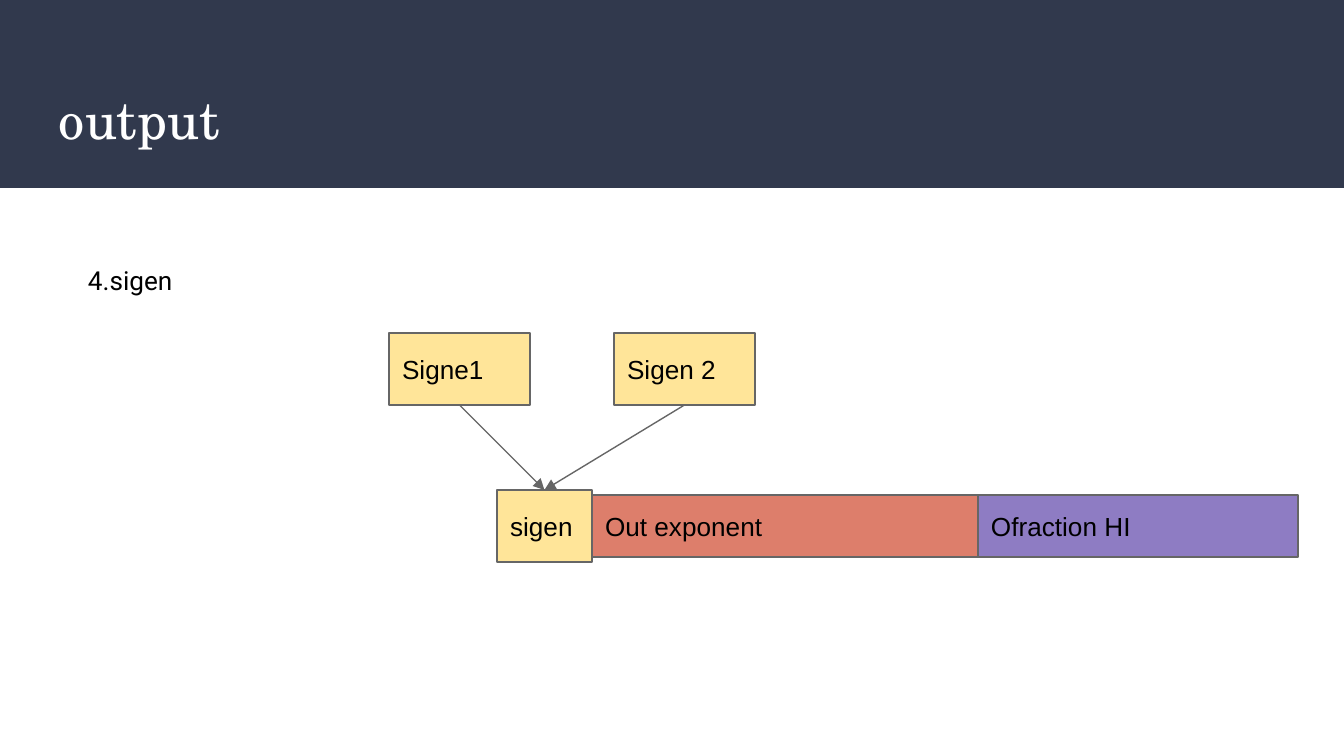
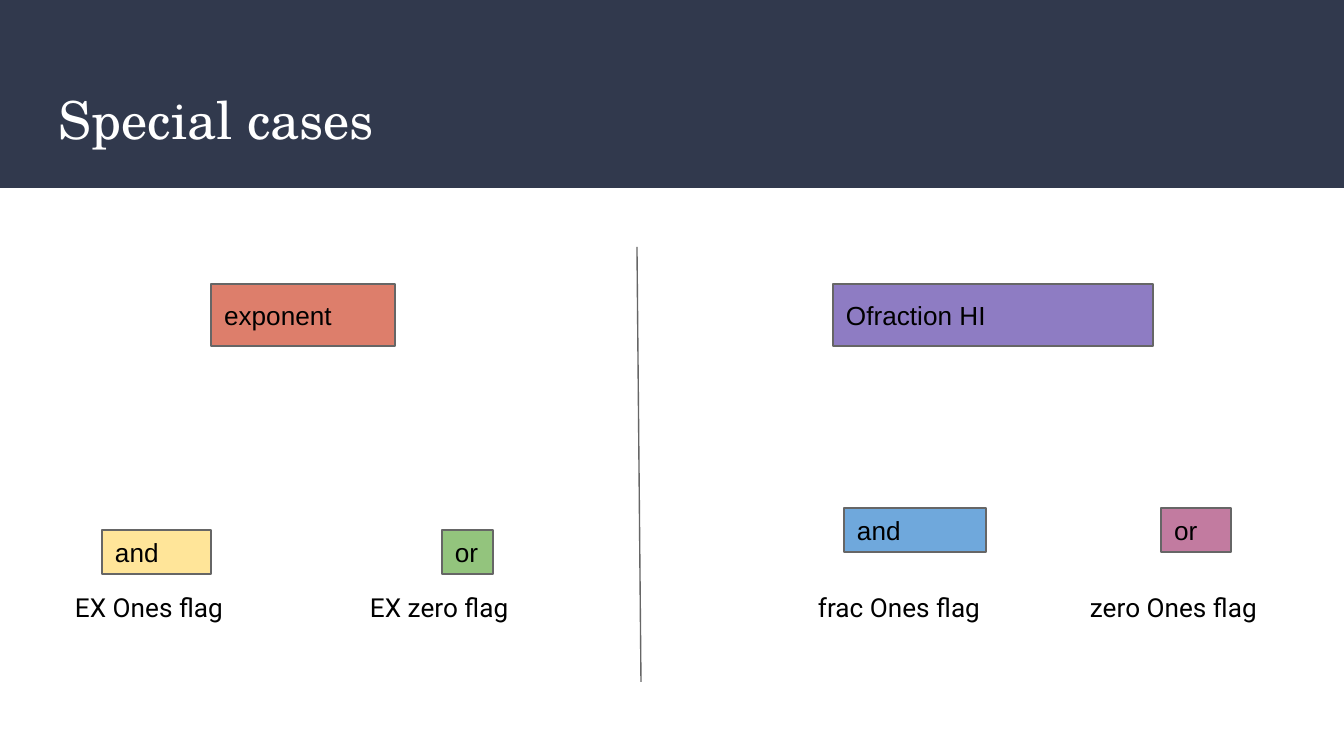
from pptx import Presentation
from pptx.dml.color import RGBColor
from pptx.enum.shapes import MSO_CONNECTOR, MSO_SHAPE
from pptx.enum.text import MSO_ANCHOR, MSO_AUTO_SIZE, PP_ALIGN
from pptx.oxml.ns import qn
from pptx.util import Pt
from lxml import etree

RECTANGLE, STRAIGHT = MSO_SHAPE.RECTANGLE, MSO_CONNECTOR.STRAIGHT
TOP, MIDDLE, LEFT = MSO_ANCHOR.TOP, MSO_ANCHOR.MIDDLE, PP_ALIGN.LEFT
TOP_SITE, BOTTOM_SITE = 0, 2
TITLE_ONLY = 5

# Scale: 134.4 px to the inch
EMU_PER_PX = 914400 / 134.4
SLIDE_WIDTH, SLIDE_HEIGHT, BAND_HEIGHT = 1344, 756, 188
INSET = 13
FIELD_HEIGHT, SIGN_HEIGHT, GATE_HEIGHT = 62, 72, 44
FRACTION_WIDTH, FLAG_WIDTH = 320, 222

# Colours
NAVY = RGBColor(0x31, 0x39, 0x4D)
WHITE = RGBColor(0xFF, 0xFF, 0xFF)
BLACK = RGBColor(0x00, 0x00, 0x00)
GREY = RGBColor(0x66, 0x66, 0x66)
PURPLE = RGBColor(0x8E, 0x7C, 0xC3)
RED = RGBColor(0xDD, 0x7E, 0x6B)
YELLOW = RGBColor(0xFF, 0xE5, 0x99)
GREEN = RGBColor(0x93, 0xC4, 0x7D)
PINK = RGBColor(0xC2, 0x7B, 0xA0)
BLUE = RGBColor(0x6F, 0xA8, 0xDC)

# Text styles
TITLE_FONT = {"name": "TeX Gyre Schola", "size": Pt(28), "color": WHITE}
BOX_FONT = {"name": "Arial", "size": Pt(14), "color": BLACK}
LABEL_FONT = {"name": "Roboto", "size": Pt(14), "color": BLACK}


def px(*lengths):
    return [round(length * EMU_PER_PX) for length in lengths]


def set_all(target, values):
    for name, value in values.items():
        setattr(target, name, value)


def write(shape, text, font, anchor=TOP):
    frame = shape.text_frame
    inset, = px(INSET)
    set_all(frame, {
        "margin_left": inset, "margin_right": inset,
        "margin_top": inset, "margin_bottom": inset,
        "word_wrap": True, "auto_size": MSO_AUTO_SIZE.NONE,
        "vertical_anchor": anchor,
    })
    paragraph = frame.paragraphs[0]
    paragraph.alignment = LEFT
    run = paragraph.add_run()
    run.text = text
    set_all(run.font, {"name": font["name"], "size": font["size"]})
    run.font.color.rgb = font["color"]


def outline(line):
    line.color.rgb = GREY
    line.width = Pt(0.75)


def add_rectangle(slide, bounds, color):
    shape = slide.shapes.add_shape(RECTANGLE, *px(*bounds))
    shape.shadow.inherit = False
    shape.fill.solid()
    shape.fill.fore_color.rgb = color
    return shape


def add_box(slide, text, bounds, color):
    box = add_rectangle(slide, bounds, color)
    outline(box.line)
    write(box, text, BOX_FONT, MIDDLE)
    return box


def add_label(slide, text, bounds):
    write(slide.shapes.add_textbox(*px(*bounds)), text, LABEL_FONT)


def add_line(slide, start=(0, 0), end=(0, 0)):
    line = slide.shapes.add_connector(STRAIGHT, *px(*start, *end))
    outline(line.line)
    etree.SubElement(line.element.spPr, qn("a:effectLst"))
    return line


def add_arrow(slide, source, target):
    arrow = add_line(slide)
    arrow.begin_connect(source, BOTTOM_SITE)
    arrow.end_connect(target, TOP_SITE)
    properties = arrow.line.fill and arrow.element.spPr.find(qn("a:ln"))
    etree.SubElement(properties, qn("a:tailEnd"), type="triangle")


def add_slide(presentation, title):
    slide = presentation.slides.add_slide(presentation.slide_layouts[TITLE_ONLY])
    shape = slide.shapes.title
    left, top, width, height = px(46, 74, 1252, 92)
    set_all(shape, {"left": left, "top": top, "width": width, "height": height})
    write(shape, title, TITLE_FONT)
    return slide


def add_layout_band(slide):
    """Draw the title band and move it to the layout, behind the title."""
    band = add_rectangle(slide, (0, 0, SLIDE_WIDTH, BAND_HEIGHT), NAVY)
    band.line.fill.background()
    slide.slide_layout.placeholders[0].element.addprevious(band.element)


def build_output(slide):
    # Output word
    field_top = 495
    add_box(slide, "Ofraction HI", (978, field_top, FRACTION_WIDTH, FIELD_HEIGHT), PURPLE)
    add_box(slide, "Out exponent", (592, field_top, 386, FIELD_HEIGHT), RED)
    add_label(slide, "4.sigen", (75, 251, 366, 92))

    # Both input signs lead to the output sign
    result = add_box(slide, "sigen", (497, 490, 95, SIGN_HEIGHT), YELLOW)
    for text, left in (("Signe1", 389), ("Sigen 2", 614)):
        sign = add_box(slide, text, (left, 333, 141, SIGN_HEIGHT), YELLOW)
        add_arrow(slide, sign, result)


def build_special_cases(slide):
    # Fields under test
    field_top = 284
    add_box(slide, "exponent", (211, field_top, 184, FIELD_HEIGHT), RED)
    add_box(slide, "Ofraction HI", (833, field_top, FRACTION_WIDTH, FIELD_HEIGHT), PURPLE)

    # Gates, each with the flag it sets
    gates = (
        ("and", 102, 530, 109, YELLOW, "EX Ones flag", 62),
        ("or", 442, 530, 51, GREEN, "EX zero flag", 357),
        ("and", 844, 508, 142, BLUE, "frac Ones flag", 805),
        ("or", 1161, 508, 70, PINK, "zero Ones flag", 1077),
    )
    for gate, left, top, width, color, flag, flag_left in gates:
        add_box(slide, gate, (left, top, width, GATE_HEIGHT), color)
        add_label(slide, flag, (flag_left, 578, FLAG_WIDTH, FIELD_HEIGHT))

    # Divider
    add_line(slide, (637, 247), (641, 682))


def main():
    presentation = Presentation()
    width, height = px(SLIDE_WIDTH, SLIDE_HEIGHT)
    set_all(presentation, {"slide_width": width, "slide_height": height})

    output = add_slide(presentation, "output")
    add_layout_band(output)
    build_output(output)
    build_special_cases(add_slide(presentation, "Special cases"))

    presentation.save("out.pptx")


if __name__ == "__main__":
    main()
